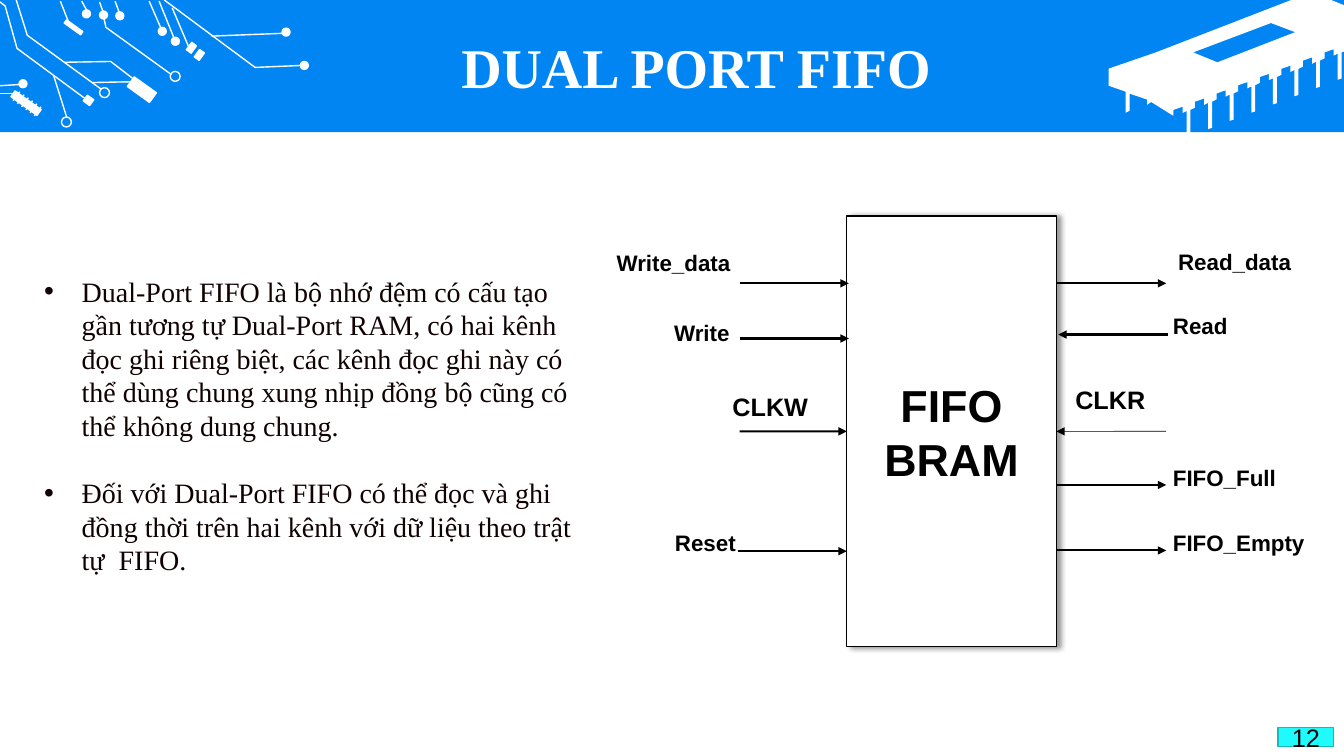
from pptx import Presentation
from pptx.dml.color import RGBColor
from pptx.enum.shapes import MSO_CONNECTOR as Conn, MSO_SHAPE as Shape
from pptx.enum.text import MSO_ANCHOR as Anchor, PP_ALIGN as Align
from pptx.oxml import parse_xml
from pptx.oxml.ns import nsdecls
from pptx.util import Cm, Pt

WHITE, BLACK, BLUE = "FFFFFF", "000000", "0085F2"
TILT = 35.7
BOX_MID = 10.87

PADS = [(7.57, 1.55), (7.11, 0.71), (2.08, 0.25), (2.51, 0.28),
        (2.92, 0.3), (0.48, 2.01), (4.32, 0.94), (3.99, 0.69)]
RINGS = [(4.29, 1.8), (2.51, 2.21), (1.55, 2.95)]
PARTS = [(3.23, 2.11, 0.69, 0.3), (1.6, 0.64, 0.51, 0.1),
         (2.13, 2.44, 0.2, 0.18), (4.75, 1.09, 0.15, 0.23),
         (4.95, 1.27, 0.15, 0.23), (0.25, 2.51, 0.81, 0.18)]
WIRES = [(1.52, 0.03, 1.73, 0.56), (2.06, 0.03, 2.18, 0.25),
         (2.51, 0.05, 2.59, 0.28), (2.9, 0.03, 3, 0.3),
         (3.76, 0.03, 4.09, 0.79), (4.01, 0.03, 4.39, 0.97),
         (5.33, 0.91, 7.11, 0.84), (4.34, 0.2, 4.75, 1.17),
         (0, 2.16, 0.48, 2.13), (0, 2.36, 0.36, 2.36),
         (1.35, 1.9, 1.68, 2.95), (2.34, 2.08, 3.3, 2.06)]
BENT_WIRES = [[(4.14, 0), (6.43, 1.7), (7.59, 1.65)],
              [(0.41, 0), (0.69, 0.89), (2.54, 2.24)],
              [(0, 0.05), (0.13, 0.15), (0.43, 1.22), (2.18, 2.51)],
              [(1.63, 1.57), (2.79, 1.55), (3.35, 1.98)],
              [(2.62, 0.46), (2.67, 0.69), (4.32, 1.88)]]

CHIP_TOP = [(29.13, 1.32), (32.54, 0), (33.55, 0), (33.87, 0.13), (33.87, 1.3)]
CHIP_PIN = [(0, 0), (0, 0.66), (-0.1, 0.69), (-0.1, 0.03),
            (-0.2, 0.08), (-0.2, -0.08), (-0.43, 0), (-0.43, 0.15)]
CHIP_END = [(29.01, 2.57), (28.91, 2.64), (28.91, 2.51), (28.47, 2.36),
            (28.47, 2.79), (28.37, 2.84), (28.37, 2.31), (27.94, 2.16),
            (27.94, 1.73)]
CHIP_WINDOW = [(32.03, 0.58), (30.07, 1.32), (30.68, 1.57), (32.64, 0.81)]

ARROWS = [(18.64, 21.39, 7.14), (18.64, 21.39, 8.53), (18.59, 21.34, 13.89),
          (26.64, 29.39, 7.14), (29.44, 26.67, 8.43),
          (26.64, 29.39, 12.22), (26.64, 29.39, 13.87)]
LABELS = [("Write_data", 15.29, 6.15, 16), ("Write", 16.74, 7.92, 16),
          ("CLKW", 18.21, 9.73, 18), ("Reset", 16.76, 13.21, 16),
          ("Read_data", 29.44, 6.12, 16), ("Read", 29.31, 7.75, 16),
          ("CLKR", 26.85, 9.55, 18), ("FIFO_Full", 29.31, 11.56, 16),
          ("FIFO_Empty", 29.31, 13.21, 16)]
BULLETS = [
    "Dual-Port FIFO là bộ nhớ đệm có cấu tạo gần tương tự Dual-Port RAM, "
    "có hai kênh đọc ghi riêng biệt, các kênh đọc ghi này có thể dùng chung "
    "xung nhịp đồng bộ cũng có thể không dung chung.",
    "Đối với Dual-Port FIFO có thể đọc và ghi đồng thời trên hai kênh "
    "với dữ liệu theo trật tự  FIFO.",
]


def rgb(color):
    """Turn a hex string into a colour."""
    return RGBColor.from_string(color)


def paint(s, fill=None, line=None, weight=1):
    """Set the fill and outline of a shape and drop its shadow."""
    s.shadow.inherit = False
    if fill:
        s.fill.solid()
        s.fill.fore_color.rgb = rgb(fill)
    else:
        s.fill.background()
    if line:
        s.line.color.rgb = rgb(line)
        s.line.width = Pt(weight)
    else:
        s.line.fill.background()
    return s


def add_block(slide, kind, box, fill=None, line=None, tilt=0):
    """Add a preset shape."""
    s = slide.shapes.add_shape(kind, *map(Cm, box))
    s.rotation = tilt
    return paint(s, fill, line)


def add_outline(slide, contours, fill=None, line=None):
    """Add a freeform: closed if filled, open otherwise."""
    paths = [[(Cm(x), Cm(y)) for x, y in c] for c in contours]
    fb = slide.shapes.build_freeform(*paths[0][0], scale=1.0)
    for i, path in enumerate(paths):
        if i:
            fb.move_to(*path[0])
        fb.add_line_segments(path[1:], close=bool(fill))
    return paint(fb.convert_to_shape(), fill, line)


def add_line(slide, x1, y1, x2, y2, color, weight=1, arrow=False):
    """Add a straight connector, with an arrowhead if asked."""
    s = slide.shapes.add_connector(Conn.STRAIGHT, *map(Cm, (x1, y1, x2, y2)))
    s.line.color.rgb = rgb(color)
    s.line.width = Pt(weight)
    if arrow:
        s.line._get_or_add_ln().append(
            parse_xml(f'<a:tailEnd {nsdecls("a")} type="triangle"/>'))
    s._element.spPr.append(parse_xml(f'<a:effectLst {nsdecls("a")}/>'))
    return s


def add_text(tf, text, size=16, font="Arial", color=BLACK, bold=False,
             align=Align.LEFT, anchor=Anchor.TOP, bullet=False, gap=0, spacing=1):
    """Write one paragraph per line of text."""
    tf.word_wrap = True
    tf.vertical_anchor = anchor
    for i, line in enumerate(text.split("\n")):
        p = tf.add_paragraph() if i else tf.paragraphs[0]
        p.alignment = align
        p.line_spacing = spacing
        p.space_before = Pt(gap if i else 0)
        r = p.add_run()
        r.text = line
        r.font.name, r.font.size, r.font.bold = font, Pt(size), bold
        r.font.color.rgb = rgb(color)
        if bullet:
            pPr = p._p.get_or_add_pPr()
            pPr.set("marL", str(Cm(0.95)))
            pPr.set("indent", str(-Cm(0.95)))
            pPr.append(parse_xml(f'<a:buFont {nsdecls("a")} typeface="Arial"/>'))
            pPr.append(parse_xml(f'<a:buChar {nsdecls("a")} char="•"/>'))


def add_label(slide, text, box, **fmt):
    """Add a text box."""
    s = slide.shapes.add_textbox(*map(Cm, box))
    add_text(s.text_frame, text, **fmt)


def cast_shadow(s):
    """Give a shape a soft shadow to the right."""
    effects = s._element.spPr.find(
        "{http://schemas.openxmlformats.org/drawingml/2006/main}effectLst")
    effects.append(parse_xml(
        f'<a:outerShdw {nsdecls("a")} blurRad="{Pt(4)}" dist="{Pt(3)}" dir="0">'
        f'<a:srgbClr val="{BLACK}"><a:alpha val="40000"/></a:srgbClr>'
        '</a:outerShdw>'))


def add_chip(slide):
    """Draw the chip with its row of eight pins."""
    pins = [(33.81 - 0.544 * i + x, 1.32 + 0.207 * i + y)
            for i in range(8) for x, y in CHIP_PIN]
    add_outline(slide, [CHIP_TOP + pins + CHIP_END, CHIP_WINDOW], fill=WHITE)


def add_circuit(slide):
    """Draw the circuit traces in the banner."""
    for box in PARTS:
        add_block(slide, Shape.RECTANGLE, box, WHITE, WHITE, TILT)
    for x, y in PADS:
        add_block(slide, Shape.OVAL, (x, y, 0.2, 0.2), WHITE, WHITE)
    for x, y in RINGS:
        add_block(slide, Shape.OVAL, (x, y, 0.25, 0.25), line=WHITE)
    for wire in WIRES:
        add_line(slide, *wire, WHITE)
    for i in range(6):
        x, y = 0.33 + 0.107 * i, 2.54 + 0.076 * i
        add_line(slide, x, y, x + 0.17, y - 0.23, WHITE)
    for wire in BENT_WIRES:
        add_outline(slide, [wire], line=WHITE)


def add_fifo(slide):
    """Draw the FIFO block with its signals."""
    s = add_block(slide, Shape.RECTANGLE, (21.34, 5.44, 5.28, 10.86), WHITE, BLACK)
    cast_shadow(s)
    add_text(s.text_frame, "FIFO\nBRAM", size=32, bold=True,
             align=Align.CENTER, anchor=Anchor.MIDDLE)
    for x1, x2, y in ARROWS:
        add_line(slide, x1, y, x2, y, BLACK, 1.5, arrow=True)
    for x1, x2, weight, side in [(18.64, 21.34, 1.5, 1), (29.39, 26.62, 0.5, 3)]:
        clock = add_line(slide, x1, BOX_MID, x2, BOX_MID, BLACK, weight, arrow=True)
        clock.end_connect(s, side)
    for text, x, y, size in LABELS:
        add_label(slide, text, (x, y, 4.4, 0.94), size=size, bold=True)


def main():
    """Build the slide and save it."""
    prs = Presentation()
    prs.slide_width, prs.slide_height = Cm(33.87), Cm(19.05)
    slide = prs.slides.add_slide(prs.slide_layouts[6])
    add_block(slide, Shape.RECTANGLE, (0, 0, 33.87, 3.33), BLUE)
    add_chip(slide)
    add_circuit(slide)
    add_label(slide, "DUAL PORT FIFO", (7.52, 0.76, 20.04, 2.01), size=40,
              font="Times New Roman", color=WHITE, bold=True,
              align=Align.CENTER, anchor=Anchor.MIDDLE, spacing=0.9)
    add_fifo(slide)
    add_label(slide, "\n".join(BULLETS), (0.86, 6.78, 14.17, 7.95), size=20,
              font="Times New Roman", color="100202", bullet=True, gap=24)
    s = add_block(slide, Shape.RECTANGLE, (32.21, 18.34, 1.4, 0.48), "1FFBFD", "17BABB")
    add_text(s.text_frame, "12", size=18, align=Align.CENTER, anchor=Anchor.MIDDLE)
    prs.save("out.pptx")


if __name__ == "__main__":
    main()
